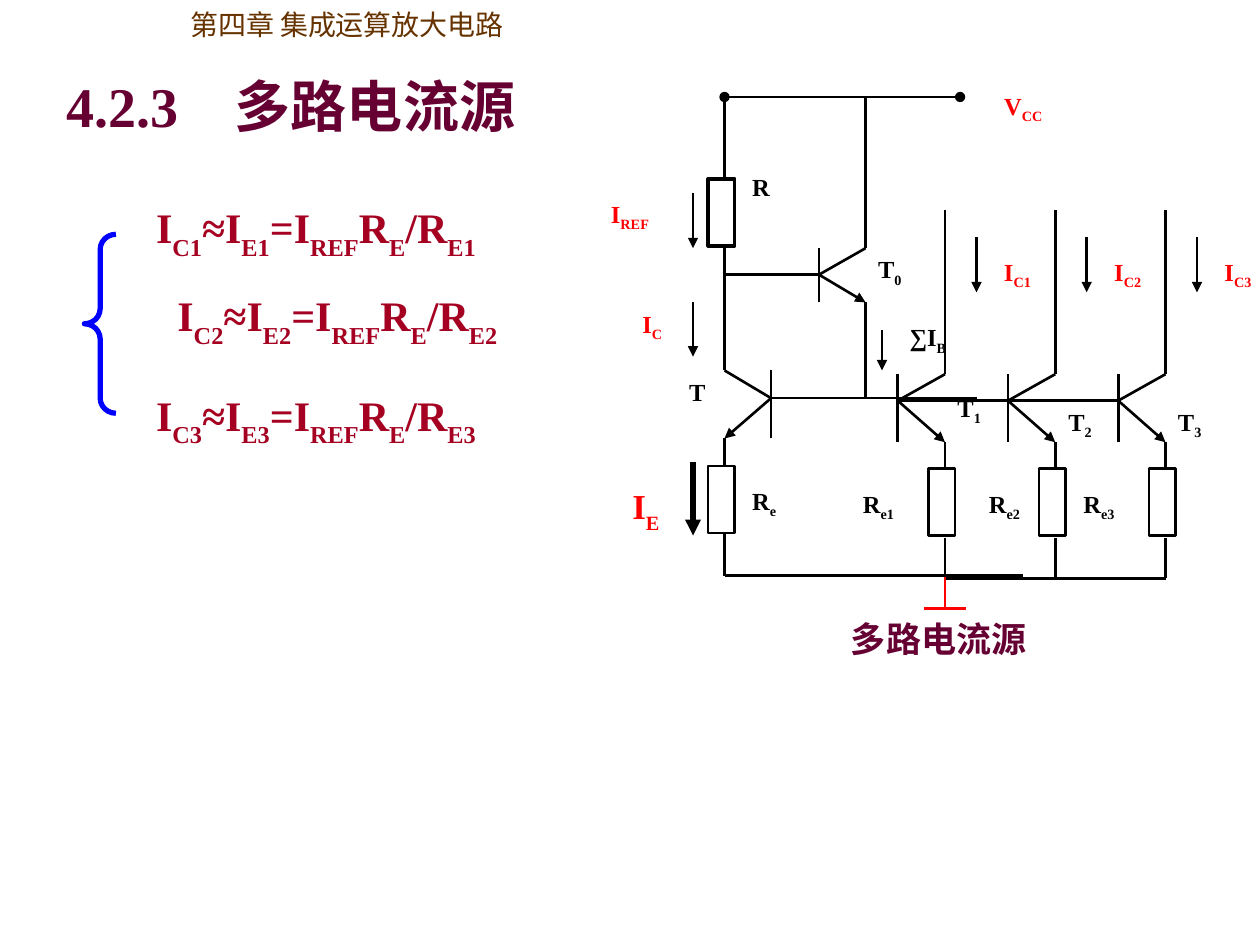
from lxml import etree
from pptx import Presentation
from pptx import util as u
from pptx.dml.color import RGBColor
from pptx.enum import shapes, text
from pptx.oxml.ns import qn

W, H = 10, 7.5
LATIN, CJK = "Times New Roman", "Noto Sans CJK JP"
BLACK, RED, BLUE = "000000", "FF0000", "0000FF"
PLUM, CRIMSON, BROWN = "660033", "A50021", "663300"

CHAPTER = "第四章 集成运算放大电路"
TITLE = "4.2.3　多路电流源"
CAPTION = "多路电流源"
FORMULA = "I|C{0}|≈I|E{0}|=I|REF|R|E|/R|E{0}"
FORMULA_SPOTS = [(1.14, 1.55), (1.31, 2.25), (1.14, 3.04)]

LABELS = [
    ("V|CC", 7.87, 0.67, RED), ("I|REF", 4.75, 1.53, RED),
    ("I|C", 5, 2.4, RED), ("R", 5.87, 1.32, BLACK),
    ("T|0", 6.87, 1.97, BLACK), ("T", 5.37, 2.94, BLACK),
    ("∑I|B", 7.12, 2.51, BLACK), ("R|e", 5.87, 3.81, BLACK),
    ("T|1", 7.5, 3.07, BLACK), ("T|2", 8.38, 3.18, BLACK),
    ("T|3", 9.25, 3.18, BLACK), ("R|e1", 6.75, 3.83, BLACK),
    ("R|e2", 7.75, 3.83, BLACK), ("R|e3", 8.5, 3.83, BLACK),
]

REF_X, BASE_X, T0_BASE, T0_X = 5.75, 6.12, 6.5, 6.87
SUPPLY_Y, T0_Y, BASE_Y, RAIL_Y = 0.77, 2.18, 3.16, 4.57
BRANCH_X = [7.5 + 0.875 * i for i in range(3)]
BRANCH_BASE_Y, BRANCH_RAIL_Y, BASE_GAP = 3.18, 4.59, 0.375

WIRES = [
    (REF_X, SUPPLY_Y, REF_X, 1.42), (REF_X, 1.97, REF_X, 2.94),
    (REF_X, T0_Y, T0_BASE, T0_Y), (T0_X, SUPPLY_Y, T0_X, 1.97),
    (T0_X, 2.4, T0_X, BASE_Y), (BASE_X, BASE_Y, 7.75, BASE_Y),
    (REF_X, 3.48, REF_X, 3.7), (REF_X, 4.24, REF_X, RAIL_Y),
    (REF_X, RAIL_Y, 8.12, RAIL_Y),
    (BRANCH_X[0] - BASE_GAP, BRANCH_BASE_Y, BRANCH_X[2] - BASE_GAP, BRANCH_BASE_Y),
    (BRANCH_X[0], BRANCH_RAIL_Y, BRANCH_X[2], BRANCH_RAIL_Y),
]
ARROWS = [(5.5, 1.53, 1.97, 1.5), (5.5, 2.4, 2.83, 1.5),
          (7, 2.62, 2.94, 1.5), (5.5, 3.67, 4.25, 3)]
GROUND = [(7.5, 4.58, 7.5, 4.83), (7.33, 4.83, 7.67, 4.83)]


def rgb(color):
    return RGBColor.from_string(color)


def box(*lengths):
    return [u.Inches(n) for n in lengths]


def write(sp, content, size, color, bold=True, font=LATIN, align=text.PP_ALIGN.LEFT):
    tf = sp.text_frame
    tf.word_wrap = True
    tf.auto_size = text.MSO_AUTO_SIZE.NONE
    tf.vertical_anchor = text.MSO_ANCHOR.TOP
    p = tf.paragraphs[0]
    p.alignment = align
    for i, part in enumerate(content.split("|")):
        r = p.add_run()
        r.text = part
        f = r.font
        f.size, f.bold, f.name = u.Pt(size), bold, font
        f.color.rgb = rgb(color)
        rpr = r._r.get_or_add_rPr()
        etree.SubElement(rpr, qn("a:ea")).set("typeface", CJK)
        if i % 2:
            rpr.set("baseline", "-25000" if size < 20 else "-30000")


def add_text(slide, place, content, size, color, **style):
    sp = slide.shapes.add_textbox(*box(*place))
    write(sp, content, size, color, **style)
    return sp


def wire(slide, x1, y1, x2, y2, color=BLACK, width=1.5, head=None, tail=None):
    c = slide.shapes.add_connector(shapes.MSO_CONNECTOR.STRAIGHT, *box(x1, y1, x2, y2))
    c.line.color.rgb = rgb(color)
    c.line.width = u.Pt(width)
    ln = c.line._get_or_add_ln()
    for tag, kind in (("a:headEnd", head), ("a:tailEnd", tail)):
        if kind:
            etree.SubElement(ln, qn(tag)).set("type", kind)
    etree.SubElement(c._element.spPr, qn("a:effectLst"))


def outline(slide, kind, place, color, width):
    sp = slide.shapes.add_shape(kind, *box(*place))
    sp.shadow.inherit = False
    sp.fill.background()
    sp.line.color.rgb = rgb(color)
    sp.line.width = u.Pt(width)
    return sp


def resistor(slide, x, top, width=1.5):
    outline(slide, shapes.MSO_SHAPE.RECTANGLE, (x - 0.13, top, 0.21, 0.53), BLACK, width)


def transistor(slide, base, tip, y, top, bottom):
    wire(slide, base, top, base, bottom)
    wire(slide, base, y, tip, top)
    wire(slide, base, y, tip, bottom, tail="triangle")


def branch(slide, x, number):
    transistor(slide, x - BASE_GAP, x, BRANCH_BASE_Y, 2.97, 3.51)
    for top, bottom in ((1.67, 2.97), (3.51, 3.72), (4.27, BRANCH_RAIL_Y)):
        wire(slide, x, top, x, bottom)
    resistor(slide, x, 3.72)
    wire(slide, x + 0.25, 1.88, x + 0.25, 2.32, tail="triangle")
    add_text(slide, (x + 0.37, 1.99, 0.5, 0.43), f"I|C{number}", 14, RED)


def main():
    prs = Presentation()
    prs.slide_width, prs.slide_height = box(W, H)
    slide = prs.slides.add_slide(prs.slide_layouts[5])

    title = slide.shapes.title
    title.left, title.top, title.width, title.height = box(0.43, 0.52, 4.17, 0.64)
    write(title, TITLE, 32, PLUM)
    chapter = add_text(slide, (1.17, 0.01, 3.6, 0.37), CHAPTER, 16, BROWN, bold=False, font=CJK)
    chapter.text_frame.margin_left = u.Inches(0.34)

    for number, (x, y) in enumerate(FORMULA_SPOTS, 1):
        add_text(slide, (x, y, 3.07, 0.57), FORMULA.format(number), 24, CRIMSON)
    brace = outline(slide, shapes.MSO_SHAPE.LEFT_BRACE, (0.67, 1.86, 0.25, 1.42), BLUE, 3)
    brace.adjustments[0] = 0.48

    for ends in WIRES:
        wire(slide, *ends)
    for x, top, bottom, width in ARROWS:
        wire(slide, x, top, x, bottom, width=width, tail="triangle")
    wire(slide, REF_X, SUPPLY_Y, 7.62, SUPPLY_Y, head="oval", tail="oval")
    transistor(slide, T0_BASE, T0_X, T0_Y, 1.97, 2.4)
    transistor(slide, BASE_X, REF_X, BASE_Y, 2.94, 3.48)
    resistor(slide, REF_X, 1.42, 2.25)
    resistor(slide, REF_X, 3.7)
    for number, x in enumerate(BRANCH_X, 1):
        branch(slide, x, number)
    for ends in GROUND:
        wire(slide, *ends, color=RED)

    for content, x, y, color in LABELS:
        add_text(slide, (x, y, 0.62, 0.43), content, 14, color)
    add_text(slide, (4.92, 3.8, 0.5, 0.5), "I|E", 20, RED)
    add_text(slide, (5.16, 4.85, 4.58, 0.44), CAPTION, 20, PLUM, align=text.PP_ALIGN.CENTER)
    prs.save("out.pptx")


if __name__ == "__main__":
    main()
